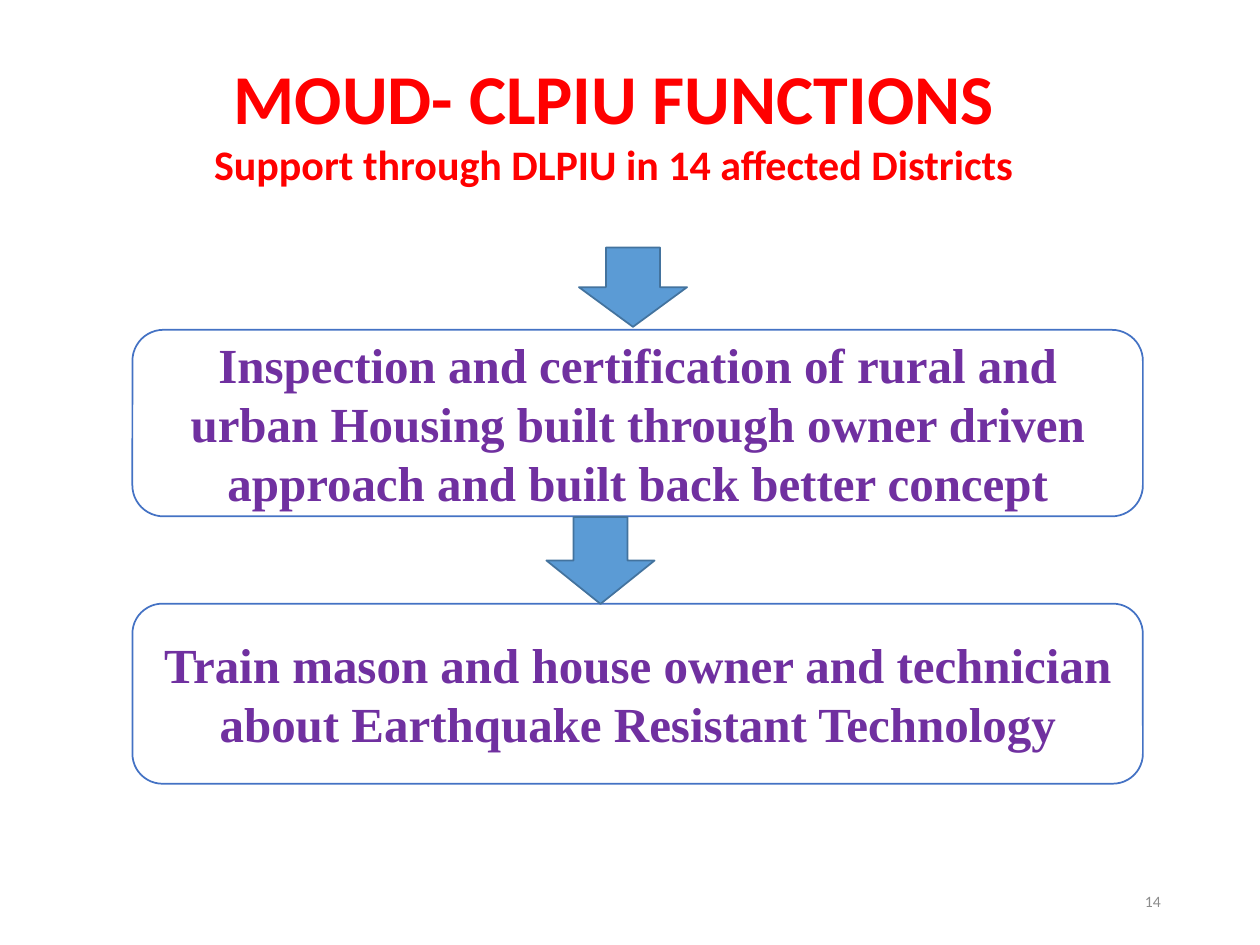
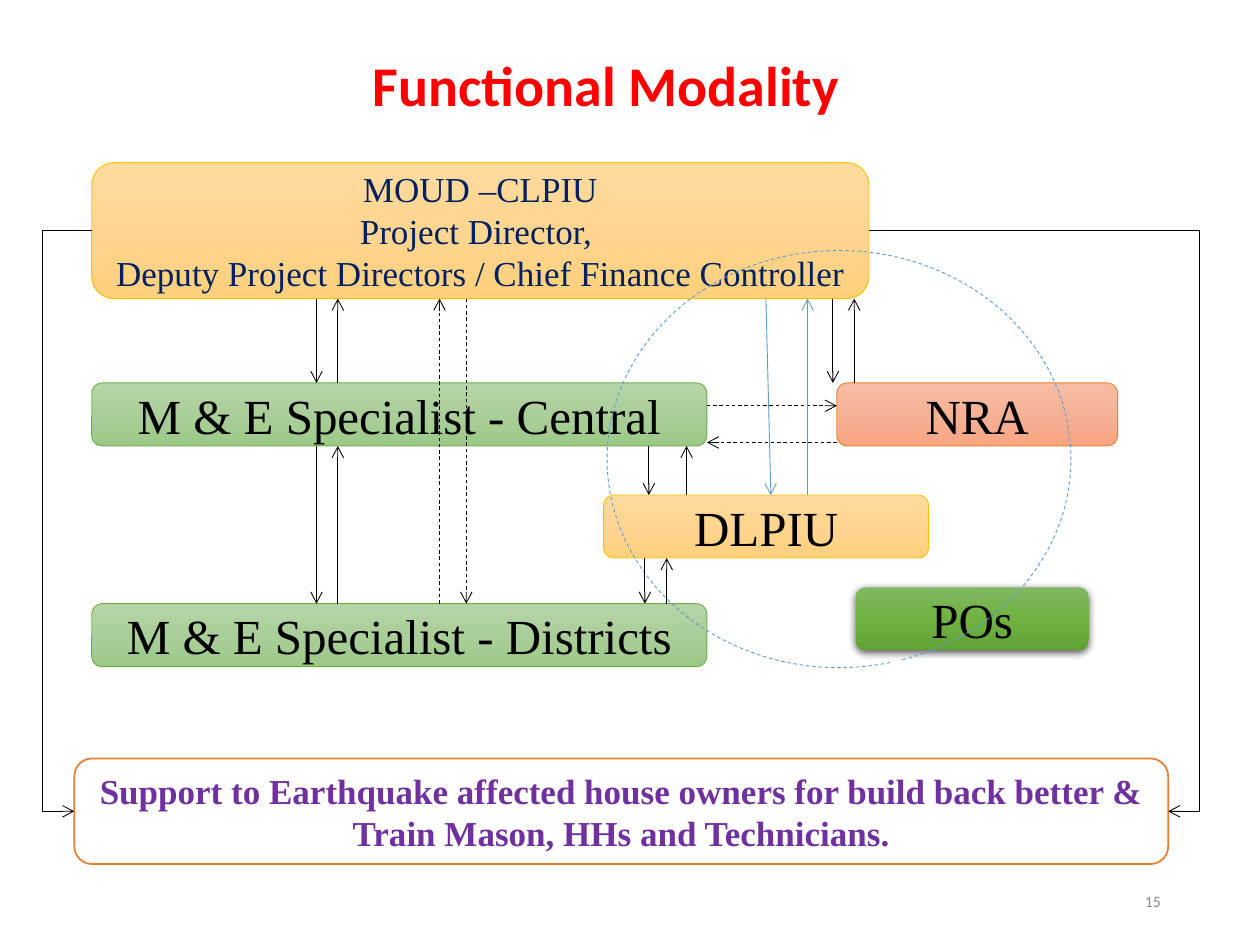
"""Build two slides on the functions and the functional modality of the CLPIU."""
import copy
from dataclasses import dataclass
from typing import NamedTuple, Optional

import pptx
import pptx.dml.color
import pptx.enum.dml
import pptx.enum.shapes
import pptx.enum.text
import pptx.oxml
import pptx.oxml.ns
import pptx.util

Cm = pptx.util.Cm
Pt = pptx.util.Pt
Shapes = pptx.enum.shapes.MSO_SHAPE
Align = pptx.enum.text.PP_ALIGN
Anchor = pptx.enum.text.MSO_ANCHOR
qn = pptx.oxml.ns.qn


@dataclass(frozen=True)
class Theme:
    heading_font: str = "Calibri"
    body_font: str = "Times New Roman"
    heading: str = "FF0000"
    number: str = "8C8C8C"
    purple: str = "7030A0"
    navy: str = "002060"
    black: str = "000000"
    white: str = "FFFFFF"
    blue: str = "4472C4"
    sky: str = "5B9BD5"
    steel: str = "43739E"
    gold: str = "FFC000"
    orange: str = "ED7D31"
    green: str = "70AD47"
    gold_fade: tuple = ("FFDB9E", "FFD590", "FFD07C")
    green_fade: tuple = ("B5D5A7", "AACE9A", "9CC987")
    orange_fade: tuple = ("F7BDA5", "F5B196", "F8A582")
    leaf_fade: tuple = ("81B861", "6FB242", "62A336")
    main_size: int = 40
    title_size: int = 32
    label_size: int = 28
    subtitle_size: int = 24
    note_size: int = 20
    number_size: int = 9
    thin: float = 0.5
    outline: float = 1


THEME = Theme()


class Frame(NamedTuple):
    left: float
    top: float
    width: float
    height: float

    @property
    def right(self) -> float:
        return self.left + self.width

    @property
    def bottom(self) -> float:
        return self.top + self.height

    def lengths(self) -> list:
        return [Cm(value) for value in self]


class Style(NamedTuple):
    size: int
    color: str
    bold: bool = False
    font: str = THEME.body_font


class Card(NamedTuple):
    frame: Frame
    lines: tuple
    style: Style
    fill: object
    line: Optional[str]
    line_width: float = THEME.thin


class Arrow(NamedTuple):
    start_x: float
    start_y: float
    end_x: float
    end_y: float
    color: str = THEME.black
    dashed: bool = False


LABEL = Style(THEME.label_size, THEME.black)
TASK = Style(THEME.label_size, THEME.purple, True)
NUMBER = Style(THEME.number_size, THEME.number, font=THEME.heading_font)
NUMBER_FRAME = Frame(17.93, 17.65, 5.72, 1.02)

INSPECTION = Frame(2.67, 6.65, 20.37, 3.76)
TRAINING = Frame(2.67, 12.17, 20.37, 3.63)
BLOCK_ARROWS = (Frame(11.96, 4.7, 1.6, 2.18), Frame(11.23, 10.21, 1.75, 2.18))

DIRECTOR = Frame(1.85, 3.28, 15.67, 2.74)
CENTRAL = Frame(1.85, 7.72, 12.4, 1.27)
DISTRICTS = Frame(1.85, 12.17, 12.4, 1.27)
NRA = Frame(16.87, 7.72, 5.66, 1.27)
DLPIU = Frame(12.17, 9.98, 6.55, 1.27)
POS = Frame(17.25, 11.84, 4.7, 1.27)
SUPPORT = Frame(1.5, 15.29, 22.05, 2.13)
CIRCLE = Frame(12.24, 5.05, 9.35, 8.41)
LEFT_RAIL, RIGHT_RAIL = 0.86, 24.18

TASKS = (
    Card(INSPECTION, ("Inspection and certification of rural and urban Housing built through "
                      "owner driven approach and built back better concept",),
         TASK, THEME.white, THEME.blue, THEME.outline),
    Card(TRAINING, ("Train mason and house owner and technician about Earthquake "
                    "Resistant Technology",),
         TASK, THEME.white, THEME.blue, THEME.outline),
)
DIRECTOR_CARD = Card(
    DIRECTOR, ("MOUD –CLPIU", "Project Director, ",
               "Deputy Project Directors / Chief Finance Controller"),
    Style(THEME.note_size, THEME.navy), THEME.gold_fade, THEME.gold)
SUPPORT_CARD = Card(
    SUPPORT, ("Support to Earthquake affected house owners for build back better & "
              "Train Mason, HHs and Technicians.",),
    Style(THEME.note_size, THEME.purple, True), THEME.white, THEME.orange, THEME.outline)
UNITS = (
    Card(CENTRAL, ("M & E Specialist - Central",), LABEL, THEME.green_fade, THEME.green),
    Card(DISTRICTS, ("M & E Specialist - Districts",), LABEL, THEME.green_fade, THEME.green),
    Card(NRA, ("NRA",), LABEL, THEME.orange_fade, THEME.orange),
    Card(DLPIU, ("DLPIU",), LABEL, THEME.gold_fade, THEME.gold),
)
POS_CARD = Card(POS, ("POs",), LABEL, THEME.leaf_fade, None)

ARROWS = (
    Arrow(6.38, DIRECTOR.bottom, 6.38, CENTRAL.top),
    Arrow(6.81, CENTRAL.top, 6.81, DIRECTOR.bottom),
    Arrow(6.38, CENTRAL.bottom, 6.38, DISTRICTS.top),
    Arrow(6.81, DISTRICTS.top, 6.81, CENTRAL.bottom),
    Arrow(8.86, DISTRICTS.top, 8.86, DIRECTOR.bottom, dashed=True),
    Arrow(9.4, DIRECTOR.bottom, 9.4, DISTRICTS.top, dashed=True),
    Arrow(13.08, CENTRAL.bottom, 13.08, DLPIU.top),
    Arrow(13.84, DLPIU.top, 13.84, CENTRAL.bottom),
    Arrow(13, DLPIU.bottom, 13, DISTRICTS.top),
    Arrow(13.44, DISTRICTS.top, 13.44, DLPIU.bottom),
    Arrow(CENTRAL.right, 8.18, NRA.left, 8.18, dashed=True),
    Arrow(NRA.left, 8.92, CENTRAL.right, 8.92, dashed=True),
    Arrow(16.79, DIRECTOR.bottom, 16.79, NRA.top),
    Arrow(17.22, NRA.top, 17.22, DIRECTOR.bottom),
    Arrow(15.44, DIRECTOR.bottom, 15.54, DLPIU.top, THEME.sky),
    Arrow(16.28, DLPIU.top, 16.28, DIRECTOR.bottom, THEME.sky),
)


def rgb(value: str) -> pptx.dml.color.RGBColor:
    return pptx.dml.color.RGBColor.from_string(value)


def element(tag: str, **attributes: str):
    node = pptx.oxml.parse_xml(f'<{tag} {pptx.oxml.ns.nsdecls("a")}/>')
    for name, value in attributes.items():
        node.set(name, value)
    return node


def write(box, lines: tuple, styles: tuple, align=Align.CENTER, anchor=Anchor.MIDDLE) -> None:
    frame = box.text_frame
    frame.word_wrap = True
    frame.vertical_anchor = anchor
    for index, (line, style) in enumerate(zip(lines, styles)):
        para = frame.add_paragraph() if index else frame.paragraphs[0]
        para.alignment = align
        span = para.add_run()
        span.text = line
        span.font.name = style.font
        span.font.size = Pt(style.size)
        span.font.bold = style.bold
        span.font.color.rgb = rgb(style.color)


def add_title(page, frame: Frame, lines: tuple, sizes: tuple):
    box = page.shapes.add_textbox(*frame.lengths())
    styles = tuple(Style(size, THEME.heading, True, THEME.heading_font) for size in sizes)
    write(box, lines, styles, anchor=Anchor.TOP)
    box.text_frame.auto_size = pptx.enum.text.MSO_AUTO_SIZE.SHAPE_TO_FIT_TEXT
    return box


def add_page(deck, number: str):
    page = deck.slides.add_slide(deck.slide_layouts[6])
    box = page.shapes.add_textbox(*NUMBER_FRAME.lengths())
    write(box, (number,), (NUMBER,), Align.RIGHT)
    return page


def paint(shape, fill, line: Optional[str], line_width: float) -> None:
    shape.shadow.inherit = False
    if fill is None:
        shape.fill.background()
    elif isinstance(fill, str):
        shape.fill.solid()
        shape.fill.fore_color.rgb = rgb(fill)
    else:
        shape.fill.gradient()
        shape.fill.gradient_angle = 270
        first = shape.element.spPr.find(".//" + qn("a:gs"))
        first.addnext(copy.deepcopy(first))
        for index, stop in enumerate(shape.fill.gradient_stops):
            stop.position = index / 2
            stop.color.rgb = rgb(fill[index])
    if line is None:
        shape.line.fill.background()
    else:
        shape.line.color.rgb = rgb(line)
        shape.line.width = Pt(line_width)


def add_card(page, card: Card):
    box = page.shapes.add_shape(Shapes.ROUNDED_RECTANGLE, *card.frame.lengths())
    paint(box, card.fill, card.line, card.line_width)
    write(box, card.lines, (card.style,) * len(card.lines))
    return box


def add_drop_shadow(shape) -> None:
    shadow = element("a:outerShdw", blurRad=str(Pt(4.5)), dist=str(Pt(1.5)),
                     dir="5400000", algn="ctr", rotWithShape="0")
    color = element("a:srgbClr", val=THEME.black)
    color.append(element("a:alpha", val="63000"))
    shadow.append(color)
    shape.element.spPr.find(qn("a:effectLst")).append(shadow)


def finish_connector(connector, color: str, dashed: bool = False) -> None:
    connector.line.color.rgb = rgb(color)
    connector.line.width = Pt(THEME.thin)
    if dashed:
        connector.line.dash_style = pptx.enum.dml.MSO_LINE.DASH
    properties = connector._element.spPr
    properties.find(qn("a:ln")).append(element("a:tailEnd", type="arrow"))
    properties.append(element("a:effectLst"))


def add_arrow(page, arrow: Arrow) -> None:
    ends = [Cm(value) for value in arrow[:4]]
    connector = page.shapes.add_connector(pptx.enum.shapes.MSO_CONNECTOR.STRAIGHT, *ends)
    finish_connector(connector, arrow.color, arrow.dashed)


def add_rail(page, source, target, side: int, rail: float) -> None:
    connector = page.shapes.add_connector(pptx.enum.shapes.MSO_CONNECTOR.ELBOW, 0, 0, 0, 0)
    connector.begin_connect(source, side)
    connector.end_connect(target, side)
    bend = (Cm(rail) - connector.begin_x) / (connector.end_x - connector.begin_x)
    guides = connector._element.spPr.find(".//" + qn("a:avLst"))
    guides.append(element("a:gd", name="adj1", fmla=f"val {round(bend * 100000)}"))
    finish_connector(connector, THEME.black)


def build_functions(deck) -> None:
    page = add_page(deck, "14")
    add_title(page, Frame(3, 0.97, 18.75, 3),
              ("MOUD- CLPIU FUNCTIONS", "Support through DLPIU in 14 affected Districts"),
              (THEME.main_size, THEME.subtitle_size))
    for card in TASKS:
        add_card(page, card)
    for frame in BLOCK_ARROWS:
        arrow = page.shapes.add_shape(Shapes.RIGHT_ARROW, *frame.lengths())
        arrow.rotation = 90
        paint(arrow, THEME.sky, THEME.steel, THEME.outline)


def build_modality(deck) -> None:
    page = add_page(deck, "15")
    title = add_title(page, Frame(3.43, 0.69, 17.58, 1.83),
                      ("Functional Modality",), (THEME.title_size,))
    title.text_frame.paragraphs[0].line_spacing = 1.15
    title.text_frame.paragraphs[0].space_after = Pt(10)
    director = add_card(page, DIRECTOR_CARD)
    for card in UNITS:
        add_card(page, card)
    add_drop_shadow(add_card(page, POS_CARD))
    support = add_card(page, SUPPORT_CARD)
    circle = page.shapes.add_shape(Shapes.ARC, *CIRCLE.lengths())
    circle.adjustments[0], circle.adjustments[1] = 45.52, 43.49
    paint(circle, None, THEME.sky, THEME.thin)
    circle.line.dash_style = pptx.enum.dml.MSO_LINE.DASH
    for arrow in ARROWS:
        add_arrow(page, arrow)
    add_rail(page, director, support, 1, LEFT_RAIL)
    add_rail(page, director, support, 3, RIGHT_RAIL)


def main() -> None:
    deck = pptx.Presentation()
    deck.slide_width, deck.slide_height = Cm(25.4), Cm(19.05)
    build_functions(deck)
    build_modality(deck)
    deck.save("out.pptx")


if __name__ == "__main__":
    main()
